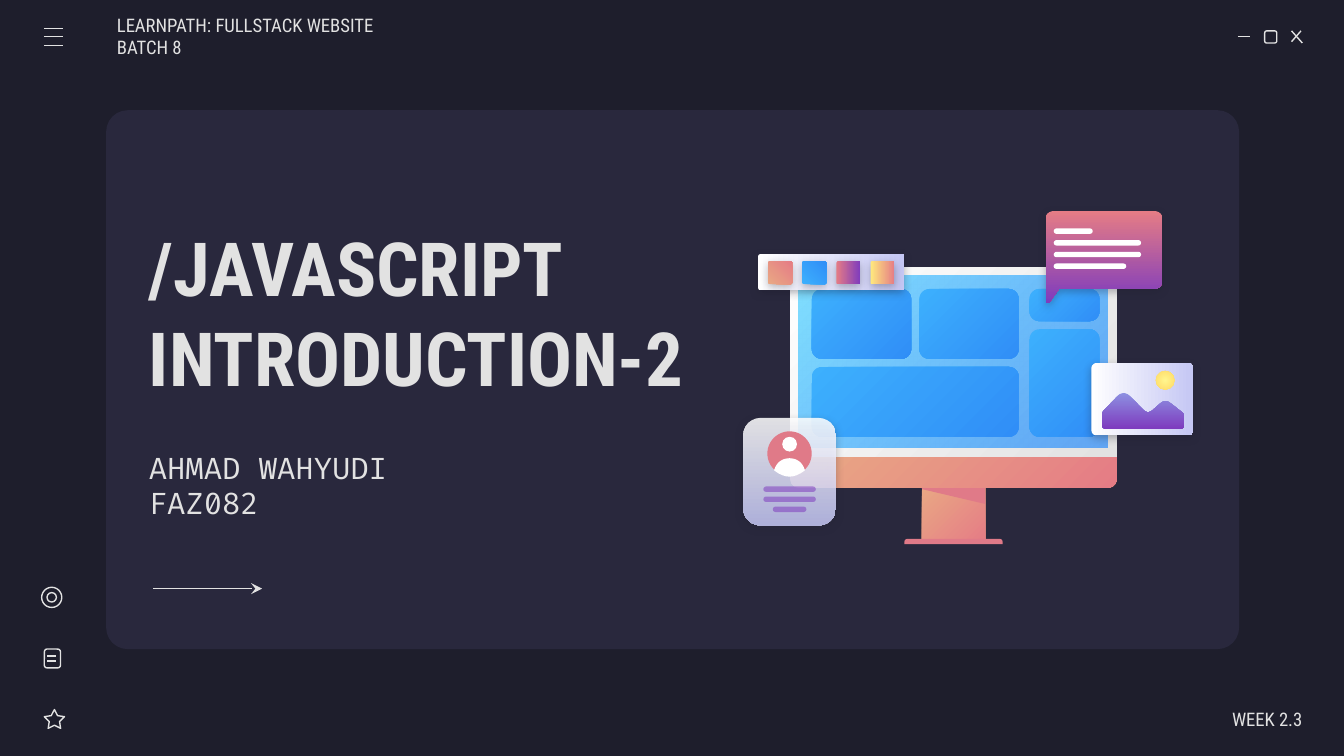
import pptx
import pptx.dml.color
import pptx.enum.shapes
import pptx.enum.text
import pptx.oxml
import pptx.oxml.ns
import pptx.util
from dataclasses import dataclass
from typing import Any, NamedTuple

COLORS = {
    "night": "1E1E2C", "panel": "29283D", "chalk": "E2E2E2", "white": "FFFFFF",
    "lilac": "C5C7F4", "peach": "E9A984", "coral": "E57C85", "rose": "E07A88",
    "sky": "3DB0FD", "blue": "308EF7", "aqua": "80DFFF", "azure": "318FFA",
    "violet": "7E3BBE", "iris": "8D90E1", "lemon": "FFF68E", "amber": "FFD966",
    "yellow": "FFEA7D",
}
MSO = pptx.enum.shapes.MSO_SHAPE
ALIGN = pptx.enum.text.PP_ALIGN
qn = pptx.oxml.ns.qn
NS = pptx.oxml.ns.nsdecls("a")

# A 16:9 slide on a square grid, 1000 columns wide
prs = pptx.Presentation()
prs.slide_width = pptx.util.Inches(10)
prs.slide_height = prs.slide_width * 9 // 16
COL = ROW = prs.slide_width / 1000


class Fill(NamedTuple):
    start: str
    end: str = ""            # empty: a solid fill
    angle: int | None = 45   # None: radial
    start_alpha: int = 100
    end_alpha: int = 100


@dataclass
class Part:
    box: tuple               # column, row, columns wide, rows high
    fill: Fill | None = None  # None: outline only
    kind: Any = MSO.ROUNDED_RECTANGLE
    adj: tuple = ()
    rot: int = 0
    shadow: bool = False


@dataclass
class Outline:
    corners: list            # column, row, rounding distance
    fill: Fill
    shadow: bool = False


@dataclass
class Rule:
    ends: tuple              # from column, row, to column, row
    arrow: bool = False


@dataclass
class Label:
    box: tuple
    lines: list
    font: dict
    align: Any = ALIGN.LEFT
    insets: tuple = (10, 10)  # left, right


def rgb(name: str) -> pptx.dml.color.RGBColor:
    return pptx.dml.color.RGBColor.from_string(COLORS[name])


def color_xml(name: str, alpha: int) -> str:
    return f'<a:srgbClr val="{COLORS[name]}"><a:alpha val="{alpha * 1000}"/></a:srgbClr>'


def paint(sp, fill: Fill | None, shadow: bool = False) -> None:
    sp.shadow.inherit = False
    if fill is None:
        sp.fill.background()
        sp.line.color.rgb, sp.line.width = rgb("chalk"), pptx.util.Pt(0.75)
        return
    sp.line.fill.background()
    spPr = sp._element.spPr
    start = color_xml(fill.start, fill.start_alpha)
    if fill.end:
        end = color_xml(fill.end, fill.end_alpha)
        way = (f'<a:lin ang="{fill.angle * 60000}" scaled="0"/>' if fill.angle is not None else
               '<a:path path="circle"><a:fillToRect l="50000" t="50000" r="50000" b="50000"/></a:path>')
        xml = (f'<a:gradFill {NS} rotWithShape="1"><a:gsLst><a:gs pos="0">{start}</a:gs>'
               f'<a:gs pos="100000">{end}</a:gs></a:gsLst>{way}</a:gradFill>')
    else:
        xml = f'<a:solidFill {NS}>{start}</a:solidFill>'
    sp.fill.solid()
    spPr.replace(spPr.find(qn("a:solidFill")), pptx.oxml.parse_xml(xml))
    if shadow:
        spPr.find(qn("a:effectLst")).append(pptx.oxml.parse_xml(
            f'<a:outerShdw {NS} blurRad="57150" dist="19050" dir="5400000" algn="bl" '
            f'rotWithShape="0">{color_xml("night", 30)}</a:outerShdw>'))


def place(box: tuple) -> list[int]:
    return [round(v * unit) for v, unit in zip(box, (COL, ROW, COL, ROW))]


def draw_part(shapes, part: Part) -> None:
    sp = shapes.add_shape(part.kind, *place(part.box))
    for i, value in enumerate(part.adj):
        sp.adjustments[i] = value
    sp.rotation = part.rot
    paint(sp, part.fill, part.shadow)


def draw_outline(shapes, outline: Outline, steps: int = 8) -> None:
    """Polygon whose corners are rounded by quadratic curves."""
    corners, points = outline.corners, []
    for i, (x, y, reach) in enumerate(corners):
        tangents = []
        for nx, ny, _ in (corners[i - 1], corners[(i + 1) % len(corners)]):
            share = reach / ((nx - x) ** 2 + (ny - y) ** 2) ** 0.5
            tangents.append((x + (nx - x) * share, y + (ny - y) * share))
        (ax, ay), (bx, by) = tangents
        for t in [n / steps for n in range(steps + 1)] if reach else [0]:
            a, c, b = (1 - t) ** 2, 2 * t * (1 - t), t * t
            points.append(((a * ax + c * x + b * bx) * COL, (a * ay + c * y + b * by) * ROW))
    builder = shapes.build_freeform(*points[0], scale=1.0)
    builder.add_line_segments(points[1:], close=True)
    paint(builder.convert_to_shape(), outline.fill, outline.shadow)


def draw_rule(shapes, rule: Rule) -> None:
    line = shapes.add_connector(pptx.enum.shapes.MSO_CONNECTOR.STRAIGHT, *place(rule.ends))
    line.line.color.rgb, line.line.width = rgb("chalk"), pptx.util.Pt(0.75)
    spPr = line._element.spPr
    if rule.arrow:
        spPr.find(qn("a:ln")).append(pptx.oxml.parse_xml(f'<a:tailEnd {NS} type="stealth"/>'))
    spPr.append(pptx.oxml.parse_xml(f"<a:effectLst {NS}/>"))


def draw_label(shapes, label: Label) -> None:
    tf = shapes.add_textbox(*place(label.box)).text_frame
    left, right = (round(v * COL) for v in label.insets)
    edge = pptx.util.Inches(0.1)
    frame = dict(word_wrap=True, vertical_anchor=pptx.enum.text.MSO_ANCHOR.MIDDLE,
                 margin_left=left, margin_right=right, margin_top=edge, margin_bottom=edge)
    for key, value in frame.items():
        setattr(tf, key, value)
    for i, text in enumerate(label.lines):
        p = tf.paragraphs[0] if i == 0 else tf.add_paragraph()
        p.alignment = label.align
        r = p.add_run()
        r.text = text
        for key, value in label.font.items():
            setattr(r.font, key, value)
        r.font.color.rgb = rgb("chalk")


DRAW = {Part: draw_part, Outline: draw_outline, Rule: draw_rule, Label: draw_label}


def draw(shapes, items: list) -> None:
    for item in items:
        DRAW[type(item)](shapes, item)


def tile(x: float, y: float, w: float, h: float, radius: float, fill: Fill) -> Part:
    return Part((x, y, w, h), fill, adj=(radius / min(w, h),))


WHITE, ROSE = Fill("white"), Fill("rose")
WARM, COOL = Fill("peach", "coral"), Fill("sky", "blue")
PAPER, DUSK = Fill("white", "lilac", 90), Fill("coral", "violet", 90)
SMALL = dict(name="Roboto Condensed", size=pptx.util.Pt(10))
MONO = dict(name="Fira Code", size=pptx.util.Pt(16))
TITLE = dict(name="Roboto Condensed", size=pptx.util.Pt(40), bold=True)

# Window buttons
window = [Rule((921, 27, 930, 27)), Part((941, 23, 9, 9), adj=(0.167,)),
          Rule((961, 23, 969, 32)), Rule((968, 23, 961, 31))]

texts = [
    Label((101, 338, 324, 46), ["AHMAD WAHYUDI", "FAZ082"], MONO),
    Label((87, 12, 229, 30), ["LEARNPATH: FULLSTACK WEBSITE BATCH 8"], SMALL, insets=(0, 10)),
    Label((101, 144, 447, 176), ["/JAVASCRIPT INTRODUCTION-2"], TITLE),
]

# Monitor: stand, foot, stand shade, chin, bezel, screen, page tiles
monitor = [
    Part((686, 361, 47, 43), WARM, MSO.RECTANGLE),
    Part((673, 401, 73, 4), ROSE, MSO.ROUND_2_SAME_RECTANGLE, (0.5, 0)),
    Outline([(686, 361, 0), (686, 364, 0), (733, 375, 0), (733, 361, 0)], ROSE),
    Part((588, 339, 243, 24), WARM, MSO.ROUND_2_SAME_RECTANGLE, (0, 0.27)),
    Part((588, 199, 243, 141), Fill("white", "chalk"), MSO.ROUND_2_SAME_RECTANGLE, (0.04, 0)),
    Part((594, 205, 230, 128), Fill("aqua", "azure", end_alpha=72), MSO.RECTANGLE),
] + [tile(*box, 7.5, COOL) for box in (
    (604, 215, 74, 52), (604, 273, 154, 52), (684, 215, 74, 52),
    (766, 215, 52, 24), (766, 245, 52, 80))]

# Speech bubble with four text bars
bubble = [Outline([(778, 157, 7), (778, 226, 2), (781, 225, 1), (788, 215, 0),
                   (865, 215, 7), (865, 157, 7)], DUSK, True)]
bubble += [tile(784, 170 + 8.7 * i, w, 4, 2, WHITE) for i, w in enumerate((29, 65, 65, 54))]

menu = [Rule((33, y, 47, y)) for y in (21, 34, 27)]

# Profile card
profile = [
    Part((553, 311, 69, 80), Fill("white", "lilac", 90, 86, 86), adj=(0.187,), shadow=True),
    Part((571, 321, 33, 33), ROSE, MSO.OVAL),
    Part((582, 325, 11, 11), WHITE, MSO.OVAL),
    Outline([(576, 350, 0), (579, 341, 9), (596, 341, 9), (599, 350, 0), (587.5, 359, 14)], WHITE),
] + [tile(587.5 - w / 2, 362 + 7.5 * i, w, 4, 2, Fill("violet", start_alpha=54))
     for i, w in enumerate((39, 39, 25))]

# Photo card: paper, mountains, sun
photo = [
    Part((823, 259, 54, 76), PAPER, adj=(0.073,), rot=270, shadow=True),
    Outline([(820, 319, 3), (820, 307, 2), (836, 290, 7), (854, 308.5, 5), (867, 297, 5),
             (881, 308, 2), (881, 319, 3)], Fill("iris", "violet", 90)),
    Part((860, 276, 14, 14), Fill("lemon", "amber", None), MSO.OVAL),
]

# Colour strip with evenly spaced swatches
strip = [Part((605, 148, 27, 109), PAPER, adj=(0.073,), rot=270, shadow=True)]
strip += [Part((572 + 25.4 * i, 194, 17, 18), fill, adj=(0.073,), rot=270, shadow=True)
          for i, fill in enumerate((WARM, COOL, DUSK, Fill("yellow", "coral", 90)))]

# Side icons: star, document, target
icons = [
    Part((33, 528, 15, 14), kind=MSO.STAR_5_POINT, adj=(0.254,)),
    Part((33, 483, 12, 14), adj=(0.167,)),
    Rule((35, 488, 42, 488)), Rule((35, 492, 42, 492)),
    Part((31, 437, 15, 15), kind=MSO.OVAL), Part((35, 441, 7, 7), kind=MSO.OVAL),
]

s = prs.slides.add_slide(prs.slide_layouts[6])
s.background.fill.solid()
s.background.fill.fore_color.rgb = rgb("night")
draw(s.shapes, [Part((79, 82, 843, 401), Fill("panel"), adj=(0.04,))])
draw(s.shapes.add_group_shape().shapes, window)
draw(s.shapes, texts)
for group in (monitor, bubble, menu, profile, photo, strip, icons):
    draw(s.shapes.add_group_shape().shapes, group)
draw(s.shapes, [
    Rule((114, 438, 195, 438), arrow=True),
    Label((852, 520, 117, 30), ["WEEK 2.3"], SMALL, ALIGN.RIGHT, (10, 0)),
])
prs.save("out.pptx")
